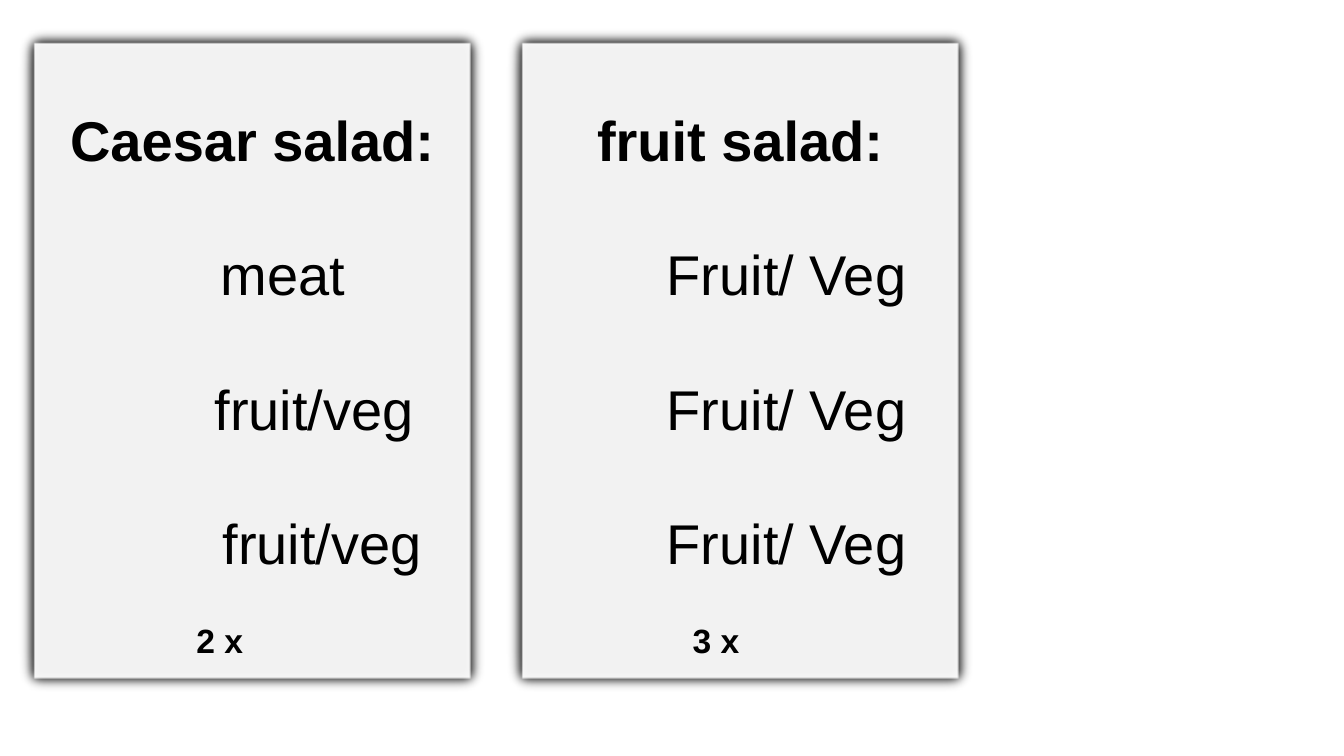
import pptx
import pptx.util
import pptx.dml.color
import pptx.enum.shapes
import pptx.enum.text
import pptx.oxml
import pptx.oxml.ns

Inches = pptx.util.Inches
Pt = pptx.util.Pt
COLORS = {"card": "F2F2F2", "ink": "000000"}
CARD_W, CARD_H = 4.52, 6.48
CARD_LEFT, CARD_TOP, CARD_STEP = 0.24, 0.33, 4.84
SALADS = [
    ("Caesar salad:", [("meat", 0.61), ("fruit/veg", 1.23), ("fruit/veg", 1.39)], "2 x", 1.61),
    ("fruit salad:", [("Fruit/ Veg", 0.92)] * 3, "3 x", 1.69),
]


def rgb(name):
    return pptx.dml.color.RGBColor.from_string(COLORS[name])


def write(p, text, size=40, bold=False, align=None, spacing=None, indent=0):
    if indent:
        pPr = p._p.get_or_add_pPr()
        pPr.set("marL", str(Inches(indent)))
        pPr.set("indent", "0")
    p.alignment = align
    p.line_spacing = spacing
    r = p.add_run()
    r.text = text
    r.font.name = "Arial"
    r.font.size = Pt(size)
    r.font.bold = bold
    r.font.color.rgb = rgb("ink")


def soften_edges(sp, radius):
    ns = pptx.oxml.ns.nsdecls("a")
    for old in sp._element.spPr.findall(pptx.oxml.ns.qn("a:effectLst")):
        sp._element.spPr.remove(old)
    sp._element.spPr.append(pptx.oxml.parse_xml(
        f'<a:effectLst {ns}><a:softEdge rad="{Pt(radius)}"/></a:effectLst>'))


def add_card(slide, left, top, width, height, title, items, count, count_dx):
    sp = slide.shapes.add_shape(
        pptx.enum.shapes.MSO_SHAPE.RECTANGLE,
        Inches(left), Inches(top), Inches(width), Inches(height))
    sp.shadow.inherit = False
    sp.fill.solid()
    sp.fill.fore_color.rgb = rgb("card")
    sp.line.color.rgb = rgb("ink")
    sp.line.width = Pt(14)
    soften_edges(sp, 10)
    tf = sp.text_frame
    tf.word_wrap = True
    tf.vertical_anchor = pptx.enum.text.MSO_ANCHOR.TOP
    center = pptx.enum.text.PP_ALIGN.CENTER
    write(tf.paragraphs[0], title, bold=True, align=center, spacing=2.0)
    for text, indent in items:
        write(tf.add_paragraph(), text, align=center, spacing=2.0, indent=indent)

    label = slide.shapes.add_textbox(
        Inches(left + count_dx), Inches(top + height - 0.71), Inches(0.72), Inches(0.5))
    label.text_frame.word_wrap = False
    label.text_frame.auto_size = pptx.enum.text.MSO_AUTO_SIZE.SHAPE_TO_FIT_TEXT
    write(label.text_frame.paragraphs[0], count, size=24, bold=True)


def main():
    prs = pptx.Presentation()
    prs.slide_width = Inches(13.33)
    prs.slide_height = Inches(7.5)
    slide = prs.slides.add_slide(prs.slide_layouts[6])
    for i, salad in enumerate(SALADS):
        add_card(slide, CARD_LEFT + i * CARD_STEP, CARD_TOP, CARD_W, CARD_H, *salad)
    prs.save("out.pptx")


if __name__ == "__main__":
    main()
